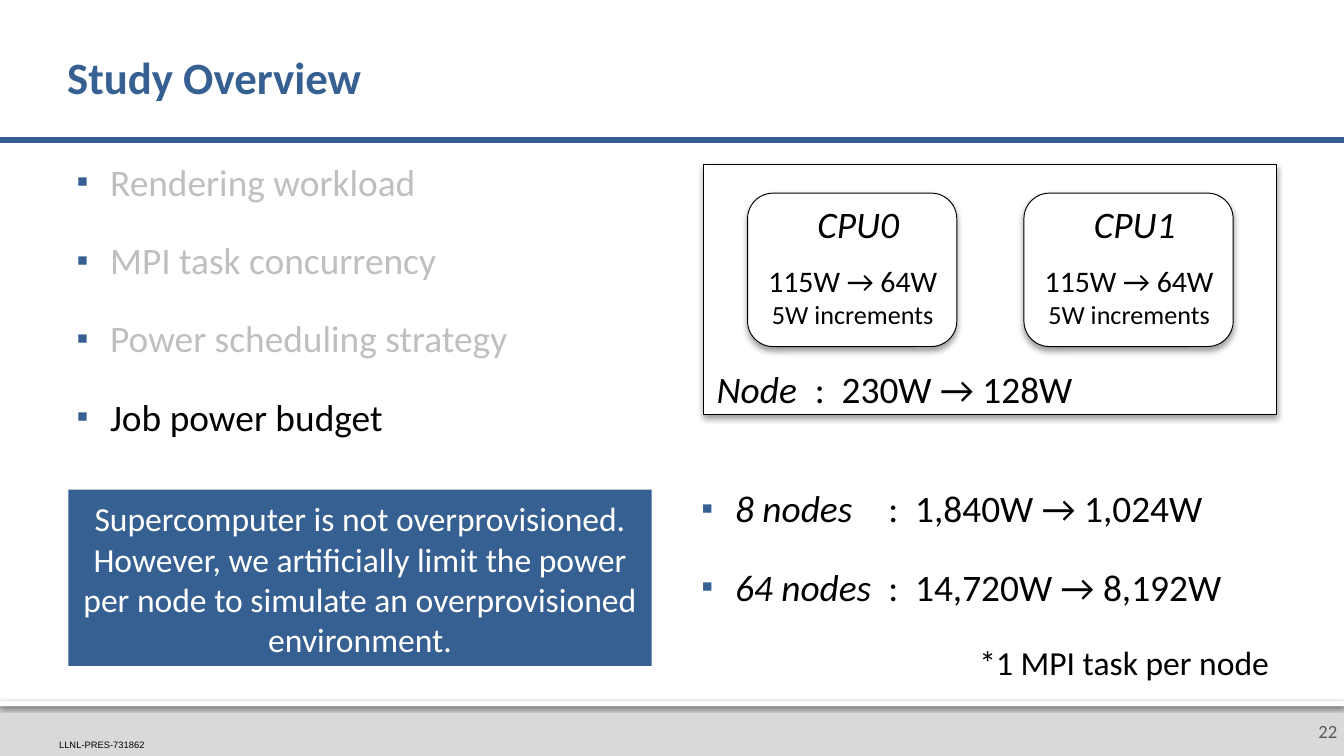
from lxml.etree import SubElement as Sub
from pptx import Presentation
from pptx.dml.color import RGBColor as RGB
from pptx.enum.shapes import MSO_CONNECTOR as Link, MSO_SHAPE as Kind
from pptx.enum.text import MSO_ANCHOR as Anchor, PP_ALIGN as Align
from pptx.oxml.ns import qn
from pptx.util import Inches, Pt

WIDE = 10
HIGH = WIDE * 9 / 16
HUE = {"blue": "376092", "gray": "D9D9D9", "dim": "BFBFBF", "page": "595959",
       "white": "FFFFFF", "black": "000000"}
PAD = (0.1, 0.05, 0.1, 0.05)
BARE = (0, 0, 0, 0)


def part(box, x, y, w, h):
    """Return the area at percent shares of a box."""
    left, top, wide, high = box
    return (left + wide * x / 100, top + high * y / 100,
            wide * w / 100, high * h / 100)


def emu(box):
    return [Inches(v) for v in box]


def apply(item, form):
    for key, value in form.items():
        setattr(item, key, value)


def set_frame(frame, pad=PAD, anchor=Anchor.TOP):
    sides = ("margin_left", "margin_top", "margin_right", "margin_bottom")
    apply(frame, {"word_wrap": True, "vertical_anchor": anchor,
                  **{side: Inches(v) for side, v in zip(sides, pad)}})


def add_run(para, text, size, hue="black", face="Calibri", **form):
    run = para.add_run()
    run.text = text
    apply(run.font, {"size": Pt(size), "name": face, **form})
    run.font.color.rgb = RGB.from_string(HUE[hue])


def next_para(frame, first, **form):
    para = frame.paragraphs[0] if first else frame.add_paragraph()
    apply(para, form)
    return para


def add_text(slide, box, lines, align=Align.LEFT, pad=PAD, anchor=Anchor.TOP,
             **form):
    """Add a text box from (text, size) lines."""
    frame = slide.shapes.add_textbox(*emu(box)).text_frame
    set_frame(frame, pad, anchor)
    for i, (text, size) in enumerate(lines):
        add_run(next_para(frame, i == 0, alignment=align), text, size, **form)


def add_shade(shape, alpha, blur, dist):
    props = shape._element.spPr
    for old in props.findall(qn("a:effectLst")):
        props.remove(old)
    shade = Sub(Sub(props, qn("a:effectLst")), qn("a:outerShdw"),
                blurRad=str(Pt(blur)), dist=str(Pt(dist)), dir="5400000",
                algn="t", rotWithShape="0")
    tint = Sub(shade, qn("a:srgbClr"), val=HUE["black"])
    Sub(tint, qn("a:alpha"), val=str(alpha * 1000))


def add_block(slide, box, fill, kind=Kind.RECTANGLE, edge=False):
    shape = slide.shapes.add_shape(kind, *emu(box))
    shape.shadow.inherit = False
    shape.fill.solid()
    shape.fill.fore_color.rgb = RGB.from_string(HUE[fill])
    if edge:
        shape.line.color.rgb = RGB.from_string(HUE["black"])
        shape.line.width = Pt(0.5)
        add_shade(shape, 38, 3.5, 2)
    else:
        shape.line.fill.background()
    return shape


def add_tabs(para, stops):
    tabs = Sub(para._p.get_or_add_pPr(), qn("a:tabLst"))
    for stop in stops:
        Sub(tabs, qn("a:tab"), pos=str(Inches(stop)), algn="l")


def add_bullet(para):
    props = para._p.get_or_add_pPr()
    props.set("marL", str(Inches(0.31)))
    props.set("indent", str(Inches(-0.25)))
    Sub(Sub(props, qn("a:buClr")), qn("a:srgbClr"), val=HUE["blue"])
    Sub(props, qn("a:buSzPct"), val="90000")
    Sub(props, qn("a:buFont"), typeface="Arial")
    Sub(props, qn("a:buChar"), char="▪")


def list_para(frame, first, bullet=True, **form):
    para = next_para(frame, first, **form)
    if bullet:
        add_bullet(para)
    gaps = {"space_after": Pt(6)}
    if not first:
        gaps["space_before"] = Pt(12)
    apply(para, gaps)
    return para


def draw_footer(slide, box):
    add_block(slide, box, "gray")
    strip = add_block(slide, part(box, 0, 0, 100, 10), "white")
    add_shade(strip, 60, 2.5, 0.8)
    add_text(slide, part(box, 4.4, 70.7, 9.6, 19.5), [("LLNL-PRES-731862", 5)],
             pad=BARE, anchor=Anchor.BOTTOM, face="Arial")
    add_text(slide, part(box, 96.5, 10, 3.5, 90), [("22", 10)], Align.RIGHT,
             (0.1, 0.05, 0.05, 0.05), Anchor.MIDDLE, hue="page")


def draw_header(slide, box):
    left, top, wide, high = box
    rule = slide.shapes.add_connector(
        Link.STRAIGHT, *emu((left, top + high, left + wide, top + high)))
    rule.line.color.rgb = RGB.from_string(HUE["blue"])
    rule.line.width = Pt(3)
    Sub(rule._element.spPr, qn("a:effectLst"))
    title = slide.shapes.title
    area = emu(part(box, 5, 17.5, 90, 78.8))
    apply(title, dict(zip(("left", "top", "width", "height"), area)))
    set_frame(title.text_frame, (0, 0.05, 0.05, 0.05), Anchor.MIDDLE)
    para = next_para(title.text_frame, True, alignment=Align.LEFT,
                     line_spacing=0.9)
    add_run(para, "Study Overview", 24, "blue", bold=True)


def draw_topics(slide, box):
    frame = slide.shapes.add_textbox(*emu(part(box, 0, 0, 100, 60))).text_frame
    set_frame(frame, BARE)
    topics = ("Rendering workload", "MPI task concurrency",
              "Power scheduling strategy", "Job power budget")
    for i, topic in enumerate(topics):
        hue = "black" if topic == topics[-1] else "dim"
        add_run(list_para(frame, i == 0), topic, 20, hue)

    note = add_block(slide, part(box, 0, 61.5, 100, 32.75), "blue").text_frame
    set_frame(note, anchor=Anchor.BOTTOM)
    lines = ("Supercomputer is not overprovisioned.",
             "However, we artificially limit the power per node to simulate "
             "an overprovisioned environment.")
    for i, line in enumerate(lines):
        add_run(next_para(note, i == 0, alignment=Align.CENTER), line, 18, "white")


def draw_cpu(slide, box, name):
    add_block(slide, box, "white", Kind.ROUNDED_RECTANGLE, True)
    add_text(slide, part(box, 25, 1, 55.8, 38.6), [(name, 20)], Align.CENTER,
             italic=True)
    add_text(slide, part(box, 0.6, 41, 99.4, 53.5),
             [("115W → 64W", 16), ("5W increments", 14)], Align.CENTER)


def draw_node(slide, box):
    add_block(slide, box, "white", edge=True)
    for i in range(2):
        draw_cpu(slide, part(box, 7.7 + 48.2 * i, 11.6, 36.5, 61.3), f"CPU{i}")
    add_text(slide, part(box, 0, 78, 21.8, 23.7), [("Node", 20)], italic=True)
    add_text(slide, part(box, 14.05, 78, 56.7, 23.7), [(":  230W → 128W", 20)],
             pad=(0.23, 0.05, 0.1, 0.05))


def draw_budget(slide, box):
    draw_node(slide, part(box, 1.7, 1, 98.3, 46.5))
    frame = slide.shapes.add_textbox(*emu(part(box, 0, 60.7, 100, 39))).text_frame
    set_frame(frame, BARE)
    rows = (("8 nodes", "1,840W → 1,024W"), ("64 nodes", "14,720W → 8,192W"))
    for i, (name, watts) in enumerate(rows):
        para = list_para(frame, i == 0)
        add_tabs(para, (1.45, 1.65))
        add_run(para, name, 20, italic=True)
        add_run(para, f"\t:\t{watts}", 20)
    para = list_para(frame, False, bullet=False, alignment=Align.RIGHT)
    add_run(para, "*1 MPI task per node ", 18)


def main():
    deck = Presentation()
    deck.slide_width, deck.slide_height = Inches(WIDE), Inches(HIGH)
    slide = deck.slides.add_slide(deck.slide_layouts[5])
    page = (0, 0, WIDE, HIGH)
    draw_footer(slide, part(page, 0, 92.7, 100, 7.3))
    draw_header(slide, part(page, 0, 0, 100, 18.5))
    draw_topics(slide, part(page, 5.1, 21, 43.4, 71.2))
    draw_budget(slide, part(page, 51.6, 21, 43.4, 71.2))
    deck.save("out.pptx")


if __name__ == "__main__":
    main()
